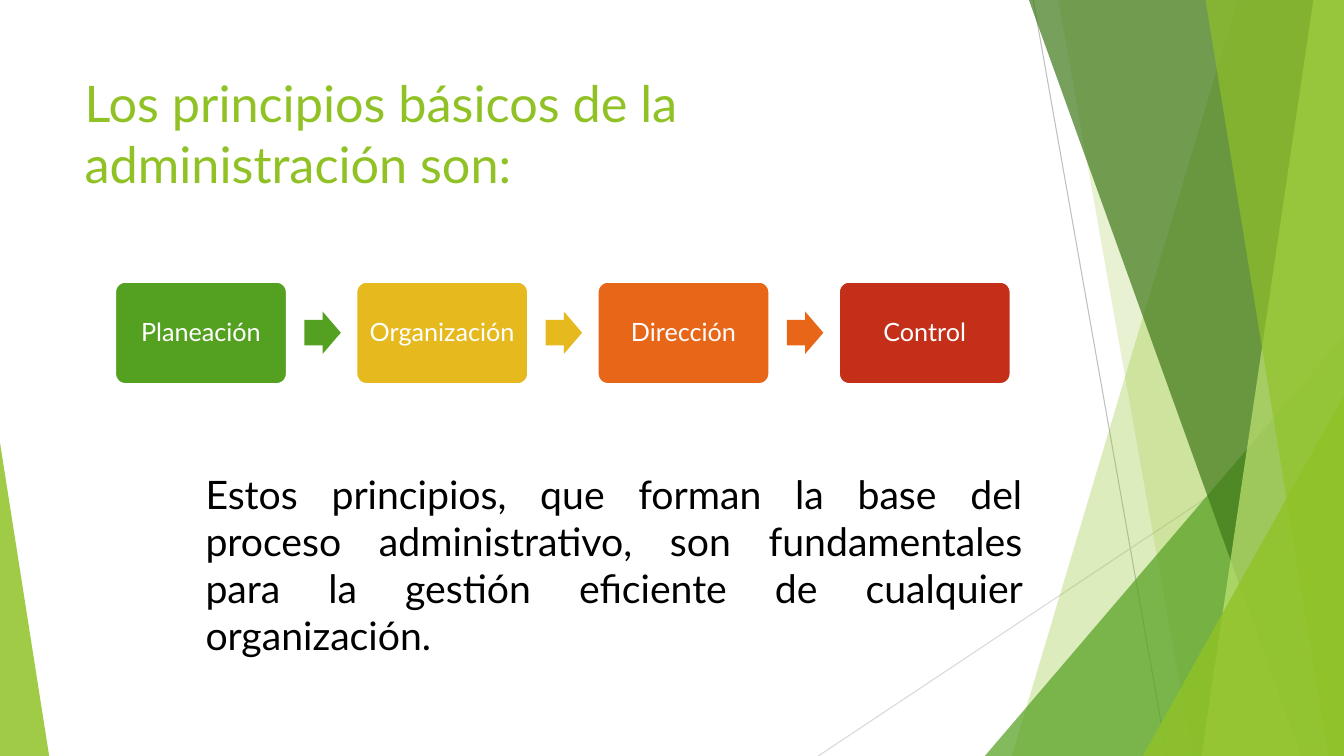
from lxml.etree import SubElement
from pptx import Presentation
from pptx.dml.color import RGBColor
from pptx.enum.shapes import MSO_CONNECTOR, MSO_SHAPE
from pptx.enum.text import MSO_ANCHOR, PP_ALIGN
from pptx.oxml.ns import qn
from pptx.util import Cm, Pt

LIME = RGBColor(0x90, 0xC2, 0x26)
GREEN = RGBColor(0x54, 0xA0, 0x21)
DARK_GREEN = RGBColor(0x3F, 0x78, 0x19)
PALE_LIME = RGBColor(0xC0, 0xE4, 0x74)
YELLOW = RGBColor(0xE6, 0xB9, 0x1E)
ORANGE = RGBColor(0xE7, 0x66, 0x18)
RED = RGBColor(0xC4, 0x2F, 0x1A)
GRAY = RGBColor(0xBF, 0xBF, 0xBF)
LIGHT_GRAY = RGBColor(0xD9, 0xD9, 0xD9)
WHITE = RGBColor(0xFF, 0xFF, 0xFF)
BLACK = RGBColor(0, 0, 0)

WIDTH, HEIGHT = 33.87, 19.05
STEPS = [("Planeación", GREEN), ("Organización", YELLOW), ("Dirección", ORANGE), ("Control", RED)]
STEP_LEFT, STEP_TOP, STEP_PITCH = 2.9, 7.1, 6.08
ARROW_OFFSET, ARROW_TOP = 4.77, 7.85


class SlideBuilder:
    """Hold the text style and the current slide, and draw its elements."""

    font_name = "Lato"

    def __init__(self, presentation):
        """Add a title-only slide."""
        self.slide = presentation.slides.add_slide(presentation.slide_layouts[5])
        self.shapes = self.slide.shapes

    def paint(self, shape, color, opacity=100, outline=None):
        """Apply a flat fill, an opacity in percent and an optional outline."""
        shape.shadow.inherit = False
        shape.fill.solid()
        shape.fill.fore_color.rgb = color
        if opacity < 100:
            solid_fill = shape.element.spPr.find(qn("a:solidFill"))
            SubElement(solid_fill[0], qn("a:alpha"), val=str(opacity * 1000))
        if outline is None:
            shape.line.fill.background()
        else:
            shape.line.color.rgb = outline
            shape.line.width = Pt(1.5)

    def line(self, start, end, color):
        """Draw a thin straight line."""
        points = [Cm(value) for value in (*start, *end)]
        connector = self.shapes.add_connector(MSO_CONNECTOR.STRAIGHT, *points)
        connector.line.color.rgb = color
        connector.line.width = Pt(0.75)
        SubElement(connector.element.spPr, qn("a:effectLst"))

    def band(self, top_x, bottom_x, color, opacity):
        """Draw a full-height band from a slanted left edge to the slide's right edge."""
        corners = [(top_x, 0), (WIDTH, 0), (WIDTH, HEIGHT), (bottom_x, HEIGHT)]
        points = [(Cm(x), Cm(y)) for x, y in corners]
        builder = self.shapes.build_freeform(*points[0])
        builder.add_line_segments(points[1:], close=True)
        self.paint(builder.convert_to_shape(), color, opacity)

    def preset(self, kind, box, adjustments, color, opacity=100, outline=None):
        """Draw an adjusted preset shape."""
        shape = self.shapes.add_shape(kind, *[Cm(value) for value in box])
        for index, value in enumerate(adjustments):
            shape.adjustments[index] = value
        self.paint(shape, color, opacity, outline)
        return shape

    def set_text(self, shape, text, size, color, paragraph_format, frame_format):
        """Fill a shape with one formatted paragraph."""
        frame = shape.text_frame
        frame.text = text
        paragraph = frame.paragraphs[0]
        font_format = {"name": self.font_name, "size": Pt(size)}
        for target, values in (
            (frame, {"word_wrap": True, **frame_format}),
            (paragraph, paragraph_format),
            (paragraph.runs[0].font, font_format),
        ):
            for name, value in values.items():
                setattr(target, name, value)
        paragraph.runs[0].font.color.rgb = color

    def place(self, shape, box):
        """Move and resize a shape."""
        for name, value in zip(("left", "top", "width", "height"), box):
            setattr(shape, name, Cm(value))

    def title(self, text, box):
        """Place the title in front of the decoration."""
        title = self.shapes.title
        title.element.getparent().append(title.element)
        self.place(title, box)
        self.set_text(title, text, 36, LIME, {"alignment": PP_ALIGN.LEFT},
                      {"vertical_anchor": MSO_ANCHOR.TOP})

    def body(self, text, box):
        """Add a justified text box."""
        text_box = self.shapes.add_textbox(*[Cm(value) for value in box])
        self.set_text(text_box, text, 28, BLACK, {"alignment": PP_ALIGN.JUSTIFY}, {})

    def step(self, text, left, color):
        """Draw one rounded step of the process."""
        shape = self.preset(MSO_SHAPE.ROUNDED_RECTANGLE, (left, STEP_TOP, 4.33, 2.58),
                            [0.1], color, outline=WHITE)
        margins = {f"margin_{side}": Cm(0.2) for side in ("left", "top", "right", "bottom")}
        self.set_text(shape, text, 18, WHITE,
                      {"alignment": PP_ALIGN.CENTER, "line_spacing": 0.9},
                      {"vertical_anchor": MSO_ANCHOR.MIDDLE, **margins})

    def arrow(self, left, color):
        """Draw the arrow that leads to the next step."""
        self.preset(MSO_SHAPE.RIGHT_ARROW, (left, ARROW_TOP, 0.92, 1.07), [0.6, 0.5], color)

    def triangle(self, left, top, width, apex, color, opacity):
        """Draw a right triangle standing on the slide's bottom edge."""
        self.preset(MSO_SHAPE.ISOSCELES_TRIANGLE, (left, top, width, HEIGHT - top),
                    [apex], color, opacity)

    def decoration(self):
        """Draw the layered green facets."""
        self.line((26.04, 0), (29.41, HEIGHT), GRAY)
        self.line((WIDTH, 10.24), (20.62, HEIGHT), LIGHT_GRAY)
        self.band(31.19, 25.5, LIME, 30)
        self.band(26.67, 30.05, LIME, 20)
        self.triangle(24.82, 8.46, 9.05, 1, GREEN, 72)
        self.band(25.93, 32.79, DARK_GREEN, 70)
        self.band(33.1, 30.28, PALE_LIME, 70)
        self.band(30.38, 33.48, LIME, 65)
        self.triangle(28.8, 9.98, 5.07, 1, LIME, 80)
        self.triangle(0, 11.15, 1.24, 0, LIME, 85)


def main():
    """Build and save the slide."""
    presentation = Presentation()
    presentation.slide_width = Cm(WIDTH)
    presentation.slide_height = Cm(HEIGHT)
    builder = SlideBuilder(presentation)
    builder.decoration()
    builder.title("Los principios básicos de la administración son:", (1.88, 1.7, 23.7, 3.66))
    builder.body(
        "Estos principios, que forman la base del proceso administrativo, son fundamentales "
        "para la gestión eficiente de cualquier organización.",
        (4.93, 11.73, 21.08, 5.05),
    )
    for index, (name, color) in enumerate(STEPS):
        left = STEP_LEFT + index * STEP_PITCH
        builder.step(name, left, color)
        if index < len(STEPS) - 1:
            builder.arrow(left + ARROW_OFFSET, color)
    presentation.save("out.pptx")


if __name__ == "__main__":
    main()
